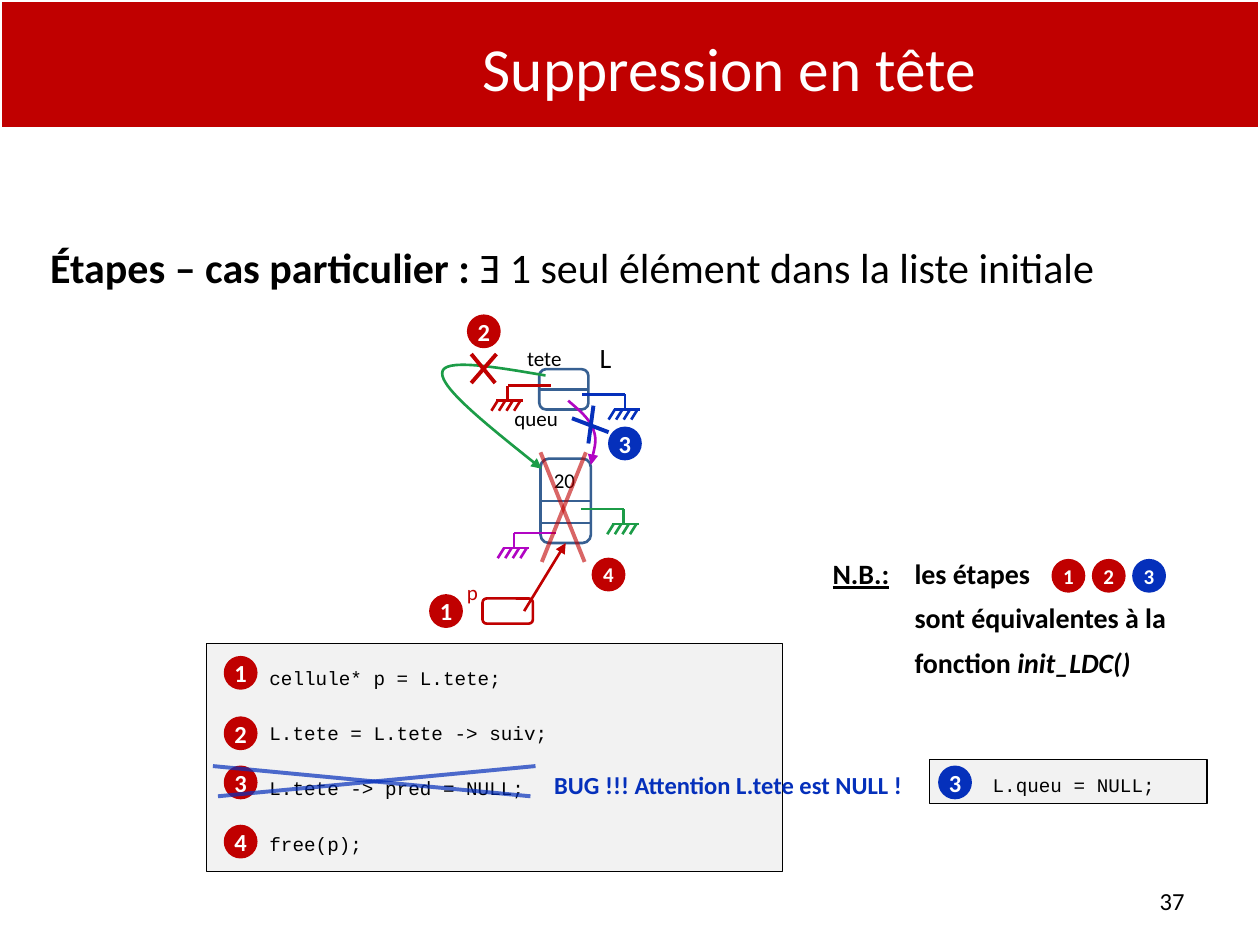
from lxml import etree
from pptx import Presentation
from pptx.dml.color import RGBColor
from pptx.enum import shapes, text
from pptx.oxml import ns
from pptx.util import Inches, Pt

RED = RGBColor(0xC0, 0x00, 0x00)
BLUE = RGBColor(0x05, 0x30, 0xBB)
GREEN = RGBColor(0x1C, 0x9C, 0x47)
PURPLE = RGBColor(0xB1, 0x05, 0xC3)
STEEL = RGBColor(0x37, 0x60, 0x92)
GREY = RGBColor(0xF2, 0xF2, 0xF2)
BLACK = RGBColor(0x00, 0x00, 0x00)
WHITE = RGBColor(0xFF, 0xFF, 0xFF)

LEFT, CENTER, RIGHT = text.PP_ALIGN.LEFT, text.PP_ALIGN.CENTER, text.PP_ALIGN.RIGHT
MIDDLE, TOP = text.MSO_ANCHOR.MIDDLE, text.MSO_ANCHOR.TOP


def add_run(paragraph, words, size, color=BLACK, bold=False, italic=False,
            underline=False, font="Calibri"):
    run = paragraph.add_run()
    run.text = words
    run.font.name, run.font.size = font, Pt(size)
    run.font.bold, run.font.italic, run.font.underline = bold, italic, underline
    run.font.color.rgb = color


def set_indent(paragraph, margin, first_line=0):
    properties = paragraph._p.get_or_add_pPr()
    properties.set("marL", str(Inches(margin)))
    properties.set("indent", str(Inches(first_line)))


def add_label(slide, box, words, size, color=BLACK, bold=False, align=CENTER, anchor=TOP):
    label = slide.shapes.add_textbox(*map(Inches, box))
    label.text_frame.word_wrap = True
    label.text_frame.vertical_anchor = anchor
    paragraph = label.text_frame.paragraphs[0]
    paragraph.alignment = align
    add_run(paragraph, words, size, color, bold)
    return label


def add_box(slide, kind, box, line, width, fill=None):
    shape = slide.shapes.add_shape(kind, *map(Inches, box))
    shape.shadow.inherit = False
    if fill is None:
        shape.fill.background()
    else:
        shape.fill.solid()
        shape.fill.fore_color.rgb = fill
    shape.line.color.rgb = line
    shape.line.width = Pt(width)
    return shape


def add_rounded(slide, box, line):
    return add_box(slide, shapes.MSO_SHAPE.ROUNDED_RECTANGLE, box, line, 1.5)


def add_badge(slide, left, top, number, color=RED, size=14):
    badge = add_box(slide, shapes.MSO_SHAPE.OVAL, (left, top, 0.24, 0.24), color, 2, color)
    frame = badge.text_frame
    frame.margin_left = frame.margin_right = frame.margin_top = frame.margin_bottom = 0
    frame.word_wrap = False
    frame.vertical_anchor = MIDDLE
    frame.paragraphs[0].alignment = CENTER
    add_run(frame.paragraphs[0], str(number), size, WHITE, bold=True)


def add_arrowhead(shape):
    tail = etree.SubElement(shape.line._get_or_add_ln(), ns.qn("a:tailEnd"))
    tail.set("type", "triangle")


def add_line(slide, start, end, color, width=1.5, opacity=100):
    line = slide.shapes.add_connector(shapes.MSO_CONNECTOR.STRAIGHT,
                                      *map(Inches, (*start, *end)))
    line.line.color.rgb = color
    line.line.width = Pt(width)
    etree.SubElement(line._element.spPr, ns.qn("a:effectLst"))
    if opacity < 100:
        tint = line._element.spPr.find(".//" + ns.qn("a:srgbClr"))
        etree.SubElement(tint, ns.qn("a:alpha")).set("val", str(opacity * 1000))
    return line


def add_cross(slide, strokes, color, opacity=100):
    for start, end in strokes:
        add_line(slide, start, end, color, 2.25, opacity)


def add_divider(slide, shape, color):
    """Join the middles of the left and right sides of a shape."""
    divider = add_line(slide, (0, 0), (1, 0), color)
    divider.begin_connect(shape, 1)
    divider.end_connect(shape, 3)


def add_ground(slide, start, drop_x, color):
    """Draw a null pointer: a lead, a drop and a hatched bar."""
    start_x, y = start
    bar_y = y + 0.12
    add_line(slide, start, (drop_x, y), color)
    add_line(slide, (drop_x, y), (drop_x, bar_y), color)
    add_line(slide, (drop_x - 0.09, bar_y), (drop_x + 0.12, bar_y), color)
    for index in range(4):
        x = drop_x - 0.08 + 0.06 * index
        add_line(slide, (x, bar_y), (x - 0.05, bar_y + 0.08), color)


def add_curved_arrow(slide, points, color):
    """Draw Bezier curves: a start, then two controls and an end for each."""
    start, *rest = [(Inches(x), Inches(y)) for x, y in points]
    builder = slide.shapes.build_freeform(*start)
    builder.add_line_segments(rest, close=False)
    curve = builder.convert_to_shape()
    outline = curve._element.spPr.find(".//" + ns.qn("a:path"))
    segments = outline.findall(ns.qn("a:lnTo"))
    for first in range(0, len(segments), 3):
        bezier = etree.SubElement(outline, ns.qn("a:cubicBezTo"))
        for segment in segments[first:first + 3]:
            bezier.append(segment[0])
            outline.remove(segment)
    curve.shadow.inherit = False
    curve.fill.background()
    curve.line.color.rgb = color
    curve.line.width = Pt(1.5)
    add_arrowhead(curve)


def add_code(slide, box, lines):
    panel = add_box(slide, shapes.MSO_SHAPE.RECTANGLE, box, BLACK, 0.75, GREY)
    frame = panel.text_frame
    frame.vertical_anchor = MIDDLE
    frame.margin_top, frame.margin_bottom = Inches(0.09), Inches(0.05)
    for index, line in enumerate(lines):
        paragraph = frame.add_paragraph() if index else frame.paragraphs[0]
        paragraph.alignment = LEFT
        paragraph.space_before = Pt(18.4 if index else 0)
        set_indent(paragraph, 0.4)
        add_run(paragraph, line, 11, font="Courier New")


def add_header(slide):
    band = add_box(slide, shapes.MSO_SHAPE.RECTANGLE, (0, 0, 10, 1.02), WHITE, 2, RED)
    slide.shapes._spTree.insert(2, band._element)
    title = slide.shapes.title
    title.left, title.top, title.width, title.height = map(Inches, (2.17, 0.19, 7.24, 0.69))
    title.text_frame.vertical_anchor = MIDDLE
    title.text_frame.paragraphs[0].alignment = CENTER
    add_run(title.text_frame.paragraphs[0], "Suppression en tête", 35, WHITE)


def add_diagram(slide):
    list_box = add_rounded(slide, (4.28, 2.93, 0.39, 0.32), STEEL)
    add_divider(slide, list_box, STEEL)
    add_label(slide, (3.82, 2.69, 1, 0.24), "tete", 12)
    add_label(slide, (3.83, 3.17, 0.85, 0.3), "queu", 12)
    add_label(slide, (4.62, 2.65, 0.37, 0.29), "L", 16)

    cell = add_rounded(slide, (4.29, 3.64, 0.4, 0.67), STEEL)
    add_divider(slide, cell, STEEL)
    add_line(slide, (4.29, 4.15), (4.69, 4.15), STEEL)
    add_label(slide, (4.29, 3.66, 0.38, 0.3), "20", 12)

    add_rounded(slide, (3.83, 4.75, 0.4, 0.2), RED)
    add_label(slide, (3.47, 4.55, 0.56, 0.3), "p", 12, RED)
    pointer = add_line(slide, (4.16, 4.85), (4.5, 4.32), RED)
    pointer.end_connect(cell, 2)
    add_arrowhead(pointer)

    add_curved_arrow(slide, [(4.33, 2.98), (3.92, 2.91), (3.51, 2.84), (3.51, 2.96),
                             (3.5, 3.08), (3.9, 3.4), (4.3, 3.72)], GREEN)
    add_curved_arrow(slide, [(4.51, 3.18), (4.59, 3.25), (4.68, 3.32), (4.71, 3.41),
                             (4.74, 3.49), (4.71, 3.59), (4.69, 3.69)], PURPLE)
    for start, drop_x, color in [((4.61, 4.04), 4.95, GREEN), ((4.41, 4.23), 4.08, PURPLE),
                                 ((4.37, 3.06), 4.03, RED), ((4.62, 3.13), 4.96, BLUE)]:
        add_ground(slide, start, drop_x, color)

    add_cross(slide, [((3.74, 2.81), (3.93, 3.04)), ((3.94, 2.81), (3.74, 3.04))], RED)
    add_cross(slide, [((4.54, 3.32), (4.83, 3.43)), ((4.71, 3.22), (4.67, 3.52))], BLUE)
    add_cross(slide, [((4.29, 3.59), (4.64, 4.46)), ((4.65, 3.59), (4.3, 4.46))], RED, 60)
    add_badge(slide, 3.42, 4.73, 1)
    add_badge(slide, 3.72, 2.51, 2)
    add_badge(slide, 4.84, 3.4, 3, BLUE)
    add_badge(slide, 4.71, 4.44, 4, size=12)


def add_steps(slide):
    add_code(slide, (1.64, 5.11, 4.57, 1.81),
             ["cellule* p = L.tete;", "L.tete = L.tete -> suiv;",
              "L.tete -> pred = NULL;", "free(p);"])
    for number, top in enumerate([5.22, 5.7, 6.09, 6.56], start=1):
        add_badge(slide, 1.79, top, number)
    add_label(slide, (4.3, 6.06, 3.46, 0.34), "BUG !!! Attention L.tete est NULL !",
              14, BLUE, True, LEFT)
    add_cross(slide, [((1.69, 6.08), (4.21, 6.32)), ((4.25, 6.08), (1.73, 6.32))], BLUE, 70)
    add_code(slide, (7.38, 6.03, 2.2, 0.35), ["L.queu = NULL;"])
    add_badge(slide, 7.46, 6.09, 3, BLUE)


def add_note(slide):
    note = add_label(slide, (6.51, 4.37, 3.49, 1.08), "N.B.:", 16, bold=True, align=LEFT)
    frame = note.text_frame
    first = frame.paragraphs[0]
    first.runs[0].font.underline = True
    add_run(first, "\tles étapes", 16, bold=True)
    set_indent(first, 0.65, -0.65)
    for parts in [["sont équivalentes à la"], ["fonction ", "init_LDC()"]]:
        paragraph = frame.add_paragraph()
        paragraph.space_before = Pt(6)
        set_indent(paragraph, 0.65)
        for index, part in enumerate(parts):
            add_run(paragraph, part, 16, bold=True, italic=index == 1)
    for index, color in enumerate([RED, RED, BLUE]):
        add_badge(slide, 8.36 + 0.32 * index, 4.45, index + 1, color, 12)


def main():
    presentation = Presentation()
    presentation.slide_width, presentation.slide_height = Inches(10), Inches(7.5)
    slide = presentation.slides.add_slide(presentation.slide_layouts[5])
    add_header(slide)
    heading = add_label(slide, (0.3, 1.87, 9.35, 0.5), "Étapes – cas particulier : ", 24,
                        bold=True, align=LEFT)
    add_run(heading.text_frame.paragraphs[0], "Ǝ 1 seul élément dans la liste initiale", 24)
    add_label(slide, (7.17, 6.95, 2.33, 0.4), "37", 14, align=RIGHT, anchor=MIDDLE)
    add_steps(slide)
    add_diagram(slide)
    add_note(slide)
    presentation.save("out.pptx")


if __name__ == "__main__":
    main()
